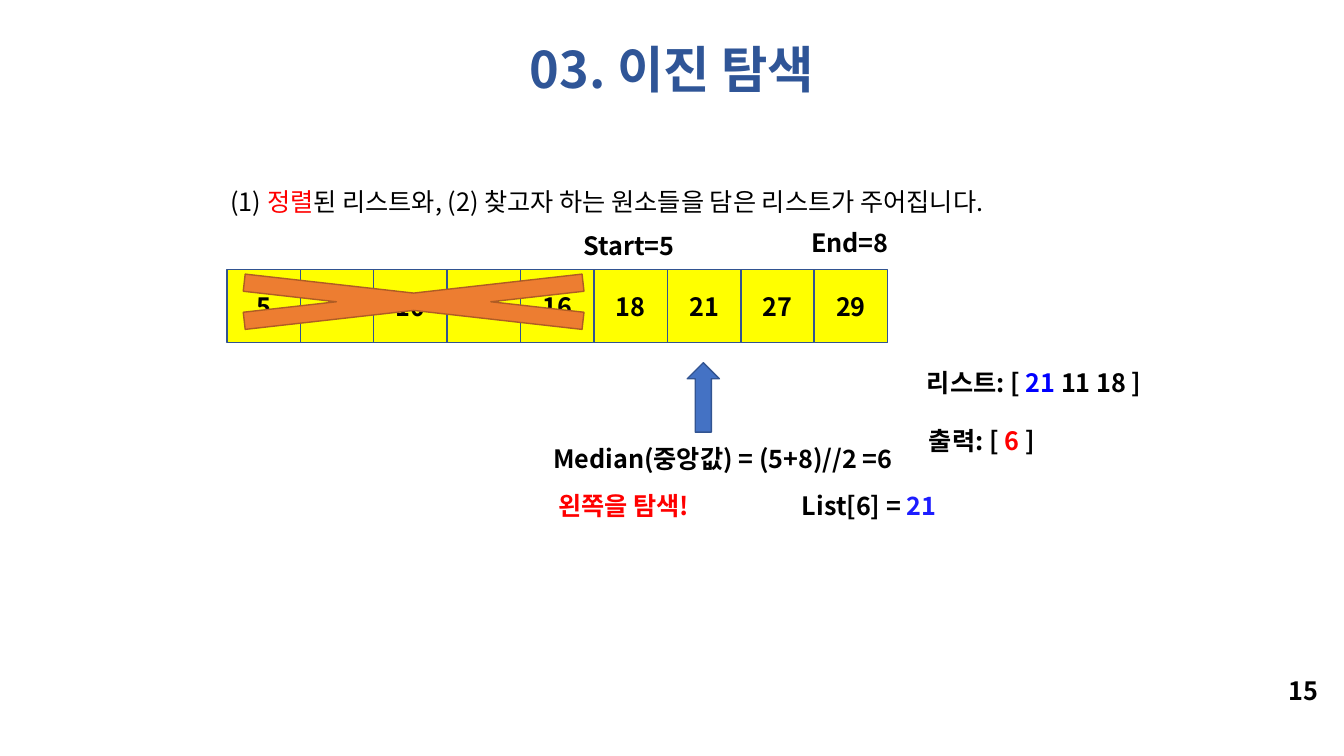
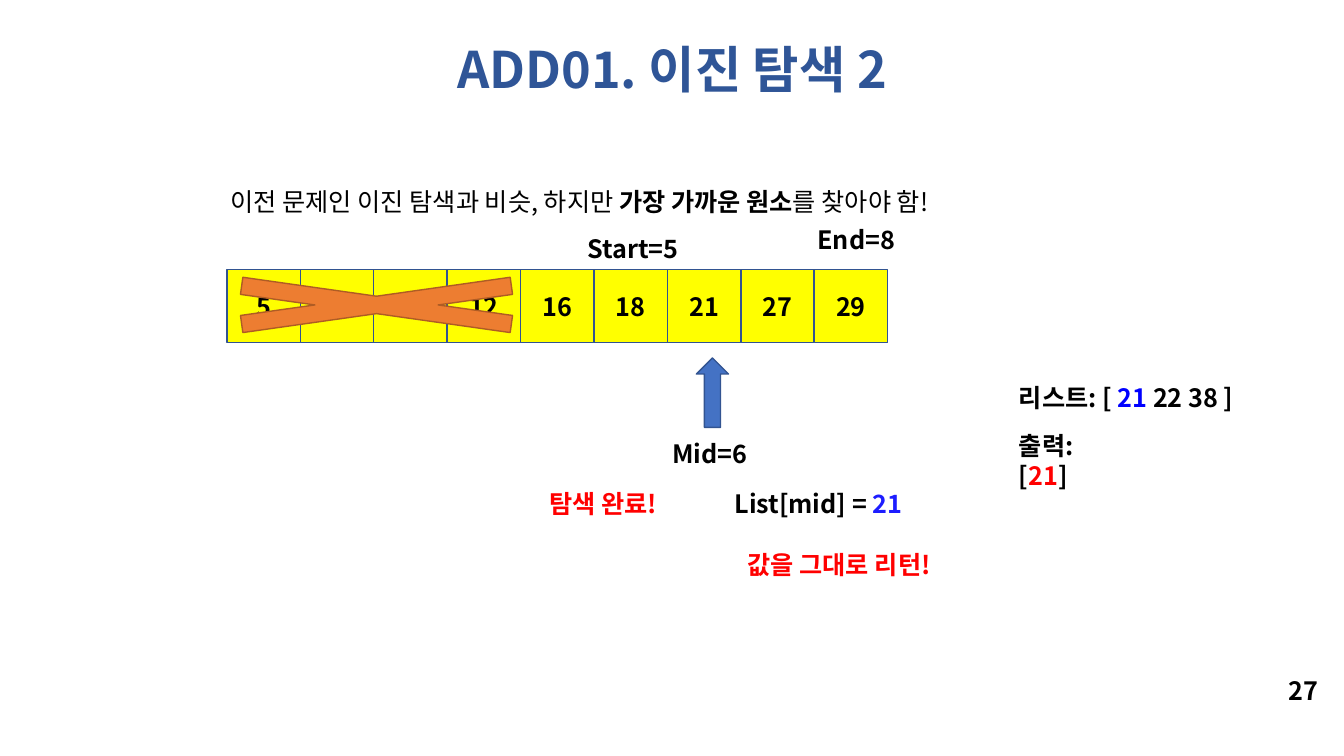
import lxml.etree
import pptx
import pptx.dml.color
import pptx.enum.shapes
import pptx.enum.text
import pptx.oxml.ns
import pptx.util

Cm = pptx.util.Cm
Pt = pptx.util.Pt
SHAPE = pptx.enum.shapes.MSO_SHAPE
ALIGN = pptx.enum.text.PP_ALIGN

FONT = "Noto Sans CJK KR"
COLORS = {
    "black": "000000",
    "title": "2F5597",
    "red": "FF0000",
    "blue": "0000FF",
    "found": "1D1DFF",
    "cell": "FFFF00",
    "cross": "ED7D31",
    "rust": "AF5C24",
    "arrow": "4472C4",
    "edge": "325491",
}
WIDTH, HEIGHT = 33.87, 19.05
LINE = 1.02
VALUES = [5, 9, 10, 12, 16, 18, 21, 27, 29]
ROW_LEFT, ROW_TOP, CELL = 5.72, 6.79, 1.85


def color(name):
    return pptx.dml.color.RGBColor.from_string(COLORS[name])


def style(run, tint="black", bold=True, size=18):
    font = run.font
    font.name = FONT
    font.size = Pt(size)
    font.bold = bold
    font.color.rgb = color(tint)
    props = run._r.get_or_add_rPr()
    lxml.etree.SubElement(props, pptx.oxml.ns.qn("a:ea"), typeface=FONT)


def add_text(slide, left, top, width, *parts, wrap=False, align=ALIGN.LEFT,
             height=LINE, bold=True, size=18):
    """Add one paragraph; each part is a text or (text, colour[, bold])."""
    box = slide.shapes.add_textbox(Cm(left), Cm(top), Cm(width), Cm(height))
    frame = box.text_frame
    frame.word_wrap = wrap
    frame.auto_size = pptx.enum.text.MSO_AUTO_SIZE.SHAPE_TO_FIT_TEXT
    para = frame.paragraphs[0]
    para.alignment = align
    for part in parts:
        text, tint, heavy = part, "black", bold
        if not isinstance(part, str):
            text, tint = part[:2]
            heavy = part[2] if len(part) > 2 else bold
        run = para.add_run()
        run.text = text
        style(run, tint, heavy, size)


def add_figure(slide, kind, left, top, width, height, fill, edge):
    shape = slide.shapes.add_shape(
        kind, Cm(left), Cm(top), Cm(width), Cm(height))
    shape.shadow.inherit = False
    shape.fill.solid()
    shape.fill.fore_color.rgb = color(fill)
    shape.line.color.rgb = color(edge)
    shape.line.width = Pt(1)
    return shape


def add_row(slide):
    for index, value in enumerate(VALUES):
        cell = add_figure(slide, SHAPE.RECTANGLE, ROW_LEFT + index * CELL,
                          ROW_TOP, CELL, CELL, "cell", "edge")
        frame = cell.text_frame
        frame.text = str(value)
        frame.vertical_anchor = pptx.enum.text.MSO_ANCHOR.MIDDLE
        para = frame.paragraphs[0]
        para.alignment = ALIGN.CENTER
        style(para.runs[0])


def add_cross(slide, left, top, width):
    add_figure(slide, SHAPE.MATH_MULTIPLY, left, top, width, CELL,
               "cross", "rust")


def add_arrow(slide, left, top):
    add_figure(slide, SHAPE.UP_ARROW, left, top, 0.81, 1.75, "arrow", "edge")


def add_page(deck, number, title, *lead):
    """Add a slide with its title, number, lead sentence and value row."""
    slide = deck.slides.add_slide(deck.slide_layouts[6])
    add_text(slide, 32.23, 16.89, 1.35, str(number))
    add_text(slide, 0, 0.84, WIDTH, (title, "title"), wrap=True,
             align=ALIGN.CENTER, height=1.83, size=36)
    add_text(slide, 5.56, 4.57, 28.3, *lead, wrap=True, bold=False)
    add_row(slide)
    return slide


def add_search(deck):
    slide = add_page(
        deck, 15, "03. 이진 탐색", "(1) ", ("정렬", "red"),
        "된 리스트와, (2) 찾고자 하는 원소들을 담은 리스트가 주어집니다.")
    add_cross(slide, 2.21, 6.68, 16.43)
    add_arrow(slide, 17.32, 9.14)
    add_text(slide, 14.45, 5.69, 3.2, "Start=5")
    add_text(slide, 20.19, 5.61, 2.6, "End=8")
    add_text(slide, 13.69, 11.05, 9.75, "Median(중앙값) = (5+8)//2 =6")
    add_text(slide, 13.82, 12.22, 4.17, ("왼쪽을 탐색!", "red"))
    add_text(slide, 19.96, 12.22, 4.06, "List[6] = ", ("21", "found"))
    add_text(slide, 23.11, 9.12, 6.43,
             "리스트: [ ", ("21", "blue"), " 11 18 ]")
    add_text(slide, 23.16, 10.59, 3.48, "출력: [ ", ("6", "red"), " ]")


def add_nearest(deck):
    slide = add_page(
        deck, 27, "ADD01. 이진 탐색 2", "이전 문제인 이진 탐색과 비슷, 하지만 ",
        ("가장 가까운 원소", "black", True), "를 찾아야 함!")
    add_cross(slide, 2.95, 6.76, 13.08)
    add_arrow(slide, 17.55, 9.02)
    add_text(slide, 14.55, 5.76, 3.2, "Start=5")
    add_text(slide, 20.35, 5.53, 2.6, "End=8")
    add_text(slide, 16.69, 10.92, 2.6, "Mid=6")
    add_text(slide, 13.59, 12.19, 3.51, ("탐색 완료!", "red"))
    add_text(slide, 18.26, 12.19, 4.85, "List[mid] = ", ("21", "found"))
    add_text(slide, 18.59, 13.72, 5.66, ("값을 그대로 리턴!", "red"))
    add_text(slide, 25.43, 9.5, 6.65,
             "리스트: [ ", ("21", "blue"), " 22 38 ]")
    add_text(slide, 25.43, 10.72, 2.9, "출력: [", ("21", "red"), "]",
             wrap=True)


def main():
    deck = pptx.Presentation()
    deck.slide_width = Cm(WIDTH)
    deck.slide_height = Cm(HEIGHT)
    add_search(deck)
    add_nearest(deck)
    deck.save("out.pptx")


if __name__ == "__main__":
    main()
